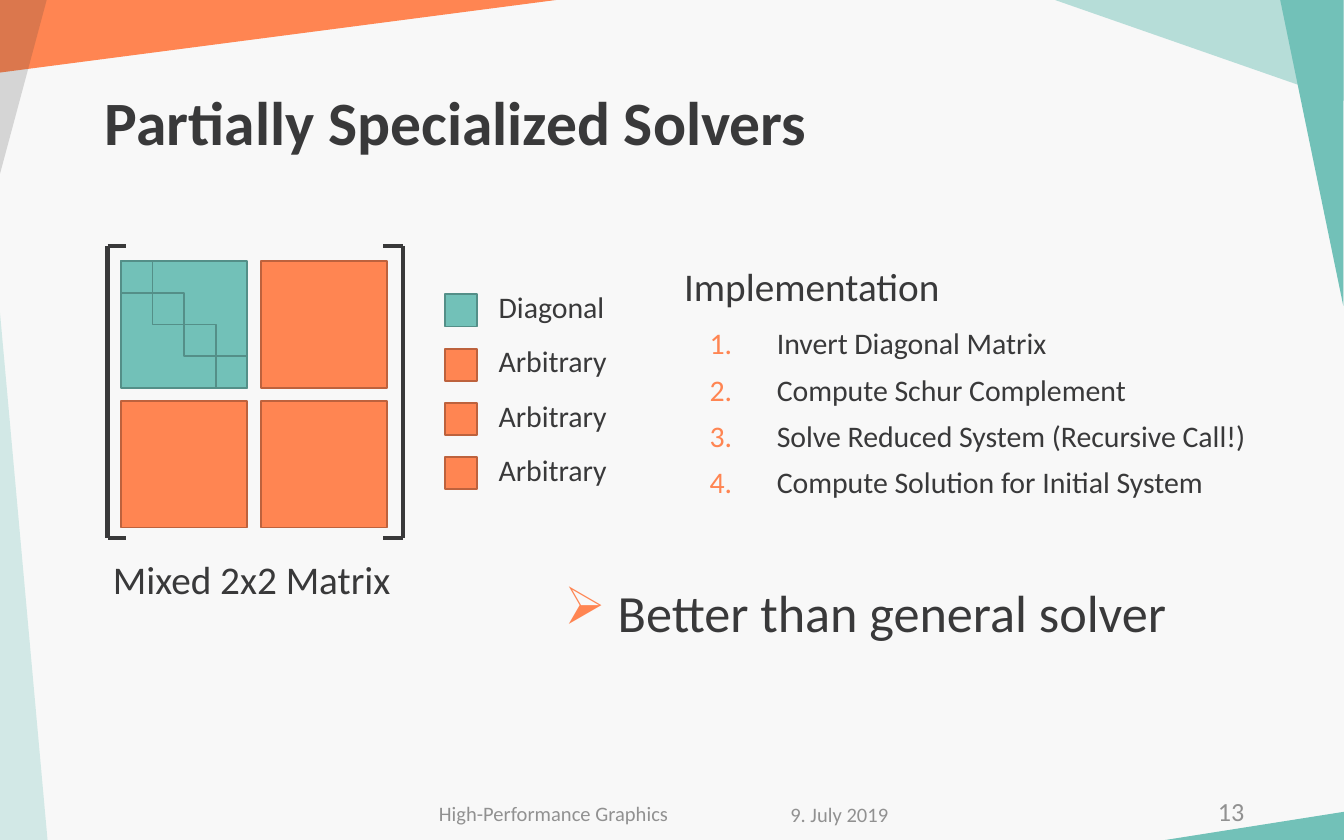
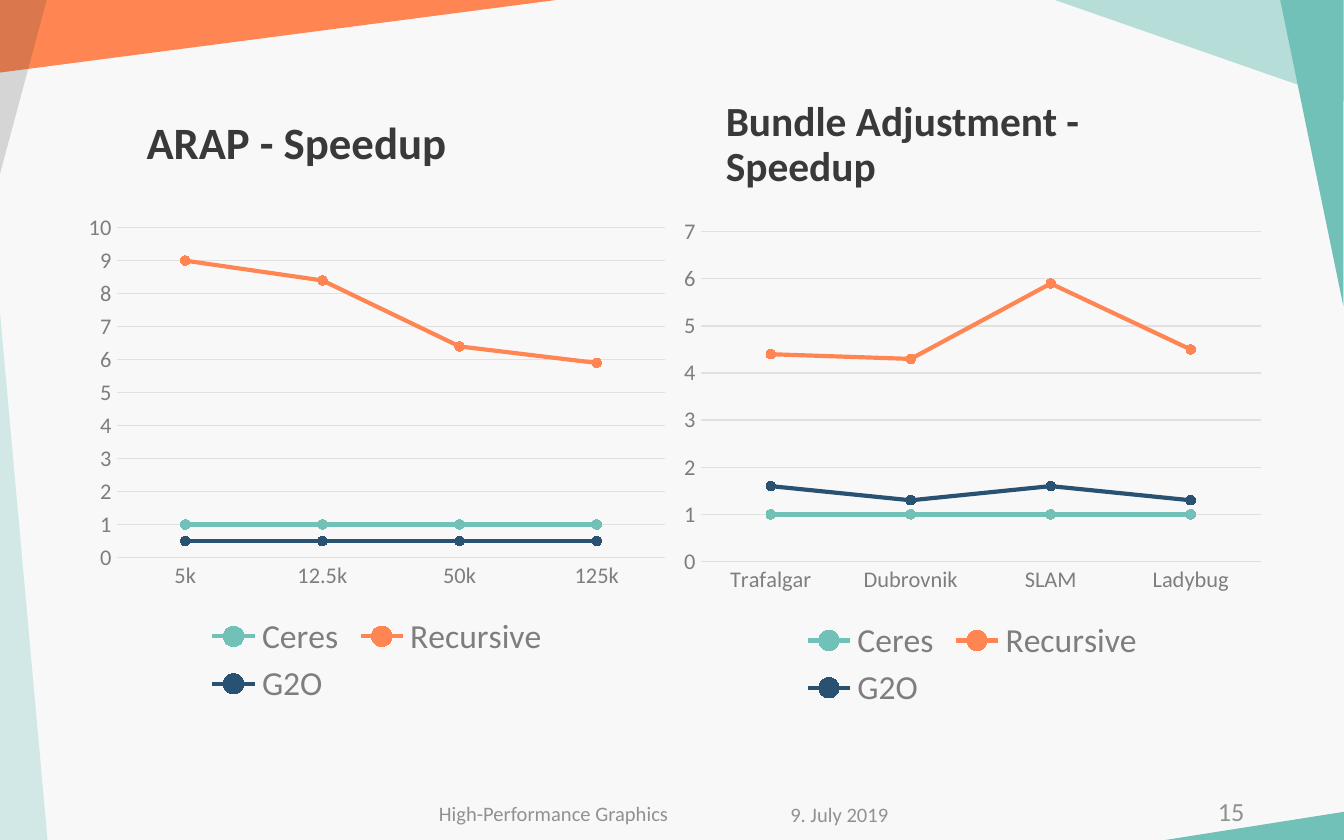
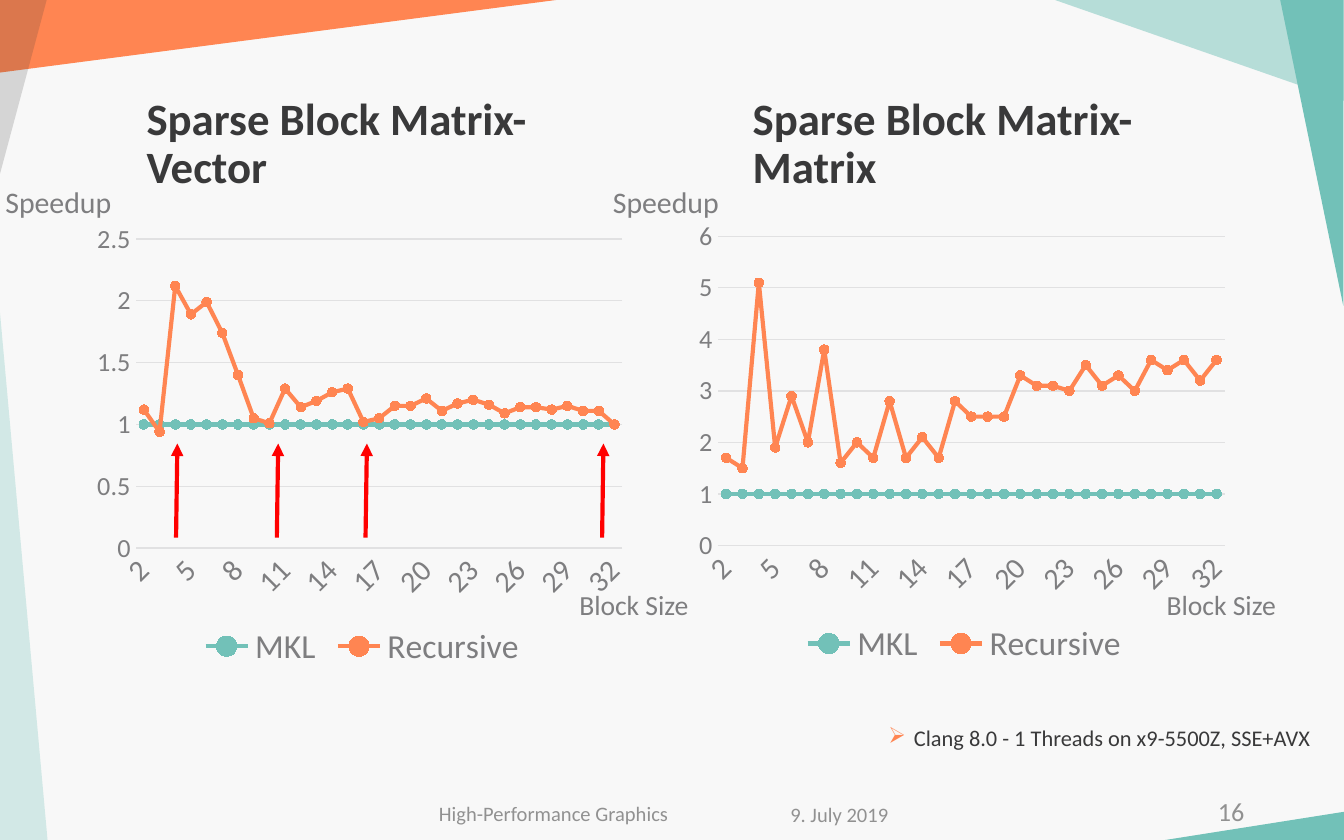
from dataclasses import dataclass
from typing import NamedTuple, Optional

from lxml.etree import SubElement
from pptx import Presentation
from pptx.chart.chart import Chart
from pptx.chart.data import CategoryChartData
from pptx.dml.color import RGBColor
from pptx.enum.chart import XL_CHART_TYPE, XL_LEGEND_POSITION, XL_MARKER_STYLE, XL_TICK_MARK
from pptx.enum.shapes import MSO_CONNECTOR, MSO_SHAPE
from pptx.enum.text import MSO_ANCHOR, MSO_AUTO_SIZE, PP_ALIGN
from pptx.oxml.ns import qn
from pptx.shapes.autoshape import Shape
from pptx.slide import Slide
from pptx.text.text import TextFrame
from pptx.util import Inches, Pt


@dataclass(frozen=True)
class Theme:
    font: str = "Calibri"
    paper: str = "F8F8F8"
    ink: str = "39393A"
    teal: str = "72C1B8"
    teal_edge: str = "548F88"
    orange: str = "FF8552"
    orange_edge: str = "BD623D"
    navy: str = "295172"
    red: str = "FF0000"
    chart_text: str = "7E7E80"
    grid: str = "E1E1E2"
    footer: str = "919191"
    title_size: float = 33
    half_title_size: float = 24
    claim_size: float = 28
    heading_size: float = 21
    legend_size: float = 18
    body_size: float = 16
    axis_name_size: float = 14.8
    number_size: float = 14
    note_size: float = 12
    footer_size: float = 11
    line_width: float = 2.25


THEME = Theme()


class Box(NamedTuple):
    left: float
    top: float
    width: float
    height: float

    def emu(self) -> tuple:
        return tuple(Inches(length) for length in self)


class Band(NamedTuple):
    box: Box
    rotation: int
    apex: float
    color: str
    opacity: int = 100


class Style(NamedTuple):
    size: float
    color: str = THEME.ink
    bold: bool = False
    align: PP_ALIGN = PP_ALIGN.LEFT
    anchor: MSO_ANCHOR = MSO_ANCHOR.TOP
    line_spacing: float = 0.9
    space_before: float = 7.5
    margin_y: float = 0.05


class Bullet(NamedTuple):
    tag: str
    attribute: str
    value: str
    indent: float


class Series(NamedTuple):
    name: str
    values: list
    color: str


@dataclass(frozen=True)
class LineChart:
    box: Box
    categories: list
    series: list
    top_value: float
    step: float
    category_size: float
    value_size: float
    label_every: int = 1


BANDS = [
    Band(Box(-1.82, 4.09, 3.99, 0.36), 90, 1, THEME.teal, 28),
    Band(Box(9.23, 5.48, 0.21, 1.33), 270, 0, THEME.teal),
    Band(Box(8.62, 0.9, 2.28, 0.47), 270, 1, THEME.teal),
    Band(Box(8.55, -0.7, 0.75, 2.15), 270, 1, THEME.teal, 49),
    Band(Box(1.8, -1.8, 0.54, 4.14), 90, 0, THEME.orange),
    Band(Box(-0.01, -0.01, 0.36, 1.34), 180, 1, THEME.ink, 18),
]

TITLE = Style(THEME.title_size, bold=True, anchor=MSO_ANCHOR.MIDDLE, space_before=0)
HALF_TITLE = TITLE._replace(size=THEME.half_title_size)
HEADING = Style(THEME.heading_size)
BODY = Style(THEME.body_size)
SPEEDUP_NAME = Style(THEME.body_size, THEME.chart_text)
BLOCK_SIZE_NAME = Style(THEME.axis_name_size, THEME.chart_text)
FOOTER = Style(THEME.footer_size, THEME.footer, align=PP_ALIGN.CENTER, anchor=MSO_ANCHOR.MIDDLE,
               line_spacing=1, space_before=0, margin_y=0)
PAGE_NUMBER = FOOTER._replace(size=THEME.number_size, align=PP_ALIGN.RIGHT)

NUMBERED = Bullet("a:buAutoNum", "type", "arabicPeriod", 0.5)
ARROW = Bullet("a:buChar", "char", "➢", 0.19)

LEFT_TITLE = Box(1, 0.72, 3.79, 0.72)


def rgb(color: str) -> RGBColor:
    return RGBColor.from_string(color)


def write(frame: TextFrame, lines: list, style: Style, bullet: Optional[Bullet] = None) -> None:
    frame.word_wrap = True
    frame.auto_size = MSO_AUTO_SIZE.NONE
    frame.vertical_anchor = style.anchor
    frame.margin_left = frame.margin_right = Inches(0.09)
    frame.margin_top = frame.margin_bottom = Inches(style.margin_y)
    for index, line in enumerate(lines):
        paragraph = frame.add_paragraph() if index else frame.paragraphs[0]
        paragraph.alignment = style.align
        paragraph.line_spacing = style.line_spacing
        paragraph.space_before = Pt(style.space_before)
        run = paragraph.add_run()
        run.text = line
        run.font.name = THEME.font
        run.font.size = Pt(style.size)
        run.font.bold = style.bold
        run.font.color.rgb = rgb(style.color)
        if bullet:
            properties = paragraph._p.get_or_add_pPr()
            properties.set("marL", str(Inches(bullet.indent)))
            properties.set("indent", str(-Inches(bullet.indent)))
            bullet_color = SubElement(properties, qn("a:buClr"))
            SubElement(bullet_color, qn("a:srgbClr")).set("val", THEME.orange)
            SubElement(properties, qn(bullet.tag)).set(bullet.attribute, bullet.value)


def add_text(slide: Slide, box: Box, lines: list, style: Style,
             bullet: Optional[Bullet] = None) -> None:
    write(slide.shapes.add_textbox(*box.emu()).text_frame, lines, style, bullet)


def add_filled(slide: Slide, kind: MSO_SHAPE, box: Box, color: str) -> Shape:
    shape = slide.shapes.add_shape(kind, *box.emu())
    shape.shadow.inherit = False
    shape.fill.solid()
    shape.fill.fore_color.rgb = rgb(color)
    return shape


def add_band(slide: Slide, band: Band) -> None:
    triangle = add_filled(slide, MSO_SHAPE.ISOSCELES_TRIANGLE, band.box, band.color)
    triangle.adjustments[0] = band.apex
    triangle.rotation = band.rotation
    if band.opacity < 100:
        fill_color = triangle.element.spPr.find(".//" + qn("a:srgbClr"))
        SubElement(fill_color, qn("a:alpha")).set("val", str(band.opacity * 1000))
    triangle.line.fill.background()


def add_square(slide: Slide, left: float, top: float, side: float, is_diagonal: bool) -> None:
    fill, edge = ((THEME.teal, THEME.teal_edge) if is_diagonal
                  else (THEME.orange, THEME.orange_edge))
    square = add_filled(slide, MSO_SHAPE.RECTANGLE, Box(left, top, side, side), fill)
    square.line.color.rgb = rgb(edge)
    square.line.width = Pt(1)


def add_line(slide: Slide, start: tuple, end: tuple, color: str, arrow: bool = False) -> None:
    ends = [Inches(length) for length in start + end]
    connector = slide.shapes.add_connector(MSO_CONNECTOR.STRAIGHT, *ends)
    connector.line.color.rgb = rgb(color)
    connector.line.width = Pt(THEME.line_width)
    if arrow:
        SubElement(connector.line._get_or_add_ln(), qn("a:tailEnd")).set("type", "triangle")
    SubElement(connector.element.spPr, qn("a:effectLst"))


def add_page(prs: Presentation, number: int, title: str, title_box: Box, style: Style) -> Slide:
    """Add a slide with the shared bands, title and footer."""
    slide = prs.slides.add_slide(prs.slide_layouts[5])
    for band in BANDS:
        add_band(slide, band)
    heading = slide.shapes.title
    heading.left, heading.top, heading.width, heading.height = title_box.emu()
    write(heading.text_frame, [title], style)
    add_text(slide, Box(7.1, 5.95, 2.25, 0.17), [str(number)], PAGE_NUMBER)
    add_text(slide, Box(2.43, 5.97, 3.38, 0.17), ["High-Performance Graphics"], FOOTER)
    add_text(slide, Box(5.12, 5.98, 2.25, 0.16), ["9. July 2019"], FOOTER)
    return slide


def set_chart_font(font, size: float) -> None:
    font.name = THEME.font
    font.size = Pt(size)
    font.color.rgb = rgb(THEME.chart_text)


def format_axes(chart: Chart, plan: LineChart) -> None:
    categories, values = chart.category_axis, chart.value_axis
    for axis, size in ((categories, plan.category_size), (values, plan.value_size)):
        axis.major_tick_mark = axis.minor_tick_mark = XL_TICK_MARK.NONE
        set_chart_font(axis.tick_labels.font, size)
    values.minimum_scale = 0
    values.maximum_scale = plan.top_value
    values.major_unit = plan.step
    values.tick_labels.number_format = "General"
    values.tick_labels.number_format_is_linked = False
    values.format.line.fill.background()
    values.has_major_gridlines = True
    for line in (categories.format.line, values.major_gridlines.format.line):
        line.color.rgb = rgb(THEME.grid)
        line.width = Pt(0.75)
    if plan.label_every > 1:
        element = categories._element
        element.find(qn("c:txPr")).find(qn("a:bodyPr")).set("rot", str(-45 * 60000))
        skip = SubElement(element, qn("c:tickLblSkip"))
        skip.set("val", str(plan.label_every))
        element.find(qn("c:noMultiLvlLbl")).addprevious(skip)


def add_line_chart(slide: Slide, plan: LineChart) -> None:
    data = CategoryChartData()
    data.categories = plan.categories
    for series in plan.series:
        data.add_series(series.name, series.values)
    chart = slide.shapes.add_chart(XL_CHART_TYPE.LINE_MARKERS, *plan.box.emu(), data).chart
    chart.has_title = False
    chart.font.name = THEME.font
    chart.has_legend = True
    chart.legend.position = XL_LEGEND_POSITION.BOTTOM
    chart.legend.include_in_layout = False
    set_chart_font(chart.legend.font, THEME.legend_size)
    chart.plots[0].vary_by_categories = False
    format_axes(chart, plan)
    for drawn, series in zip(chart.plots[0].series, plan.series):
        drawn.smooth = False
        drawn.format.line.color.rgb = rgb(series.color)
        drawn.format.line.width = Pt(THEME.line_width)
        drawn.marker.style = XL_MARKER_STYLE.CIRCLE
        drawn.marker.size = 5
        drawn.marker.format.fill.solid()
        drawn.marker.format.fill.fore_color.rgb = rgb(series.color)
        drawn.marker.format.line.color.rgb = rgb(series.color)


def add_matrix(slide: Slide) -> None:
    left, top, block, pitch = 0.9, 1.945, 0.94, 1.04
    for row in range(2):
        for column in range(2):
            add_square(slide, left + column * pitch, top + row * pitch, block,
                       is_diagonal=row == column == 0)
    cell = block / 4
    for step in range(4):
        add_square(slide, left + step * cell, top + step * cell, cell, True)

    bracket_top, bracket_bottom = 1.83, 4
    for spine, tip in ((0.8, 0.94), (3, 2.85)):
        add_line(slide, (spine, bracket_top), (spine, bracket_bottom), THEME.ink)
        for level in (bracket_top, bracket_bottom):
            add_line(slide, (spine, level), (tip, level), THEME.ink)


def build_solvers(prs: Presentation) -> None:
    slide = add_page(prs, 13, "Partially Specialized Solvers", Box(0.69, 0.33, 8.62, 1.21), TITLE)
    add_matrix(slide)
    add_text(slide, Box(0.75, 4.12, 2.38, 0.48), ["Mixed 2x2 Matrix"], HEADING)
    for row, kind in enumerate(["Diagonal"] + ["Arbitrary"] * 3):
        top = 2.19 + row * 0.404
        add_square(slide, 3.31, top, 0.24, kind == "Diagonal")
        add_text(slide, Box(3.62, top - 0.06, 1.09, 0.35), [kind], BODY)
    add_text(slide, Box(5, 1.94, 3.05, 0.48), ["Implementation"], HEADING)
    steps = ["Invert Diagonal Matrix", "Compute Schur Complement",
             "Solve Reduced System (Recursive Call!)", "Compute Solution for Initial System"]
    add_text(slide, Box(5.19, 2.4, 4.27, 1.7), steps, BODY, NUMBERED)
    add_text(slide, Box(4.11, 4.32, 5.09, 0.48), [" Better than general solver"],
             Style(THEME.claim_size), ARROW)


def build_speedups(prs: Presentation) -> None:
    def plan(left: float, top: float, categories: list, recursive: list, g2o: list,
             top_value: float) -> LineChart:
        series = [Series("Ceres", [1] * len(categories), THEME.teal),
                  Series("Recursive", recursive, THEME.orange),
                  Series("G2O", g2o, THEME.navy)]
        return LineChart(Box(left, top, 4.47, 3.77), categories, series, top_value, 1, 12, 12)

    slide = add_page(prs, 15, "ARAP - Speedup", LEFT_TITLE, HALF_TITLE)
    add_line_chart(slide, plan(5, 1.55, ["Trafalgar", "Dubrovnik", "SLAM", "Ladybug"],
                               [4.4, 4.3, 5.9, 4.5], [1.6, 1.3, 1.6, 1.3], 7))
    add_line_chart(slide, plan(0.57, 1.52, ["5k", "12.5k", "50k", "125k"],
                               [9, 8.4, 6.4, 5.9], [0.5] * 4, 10))
    add_text(slide, LEFT_TITLE._replace(left=5.31), ["Bundle Adjustment - Speedup"],
             HALF_TITLE._replace(size=22.2))


def build_sparse_blocks(prs: Presentation) -> None:
    block_sizes = [str(size) for size in range(2, 33)]
    matrix_vector = [1.12, 0.94, 2.12, 1.89, 1.99, 1.74, 1.4, 1.05, 1.01, 1.29, 1.14,
                     1.19, 1.26, 1.29, 1.02, 1.05, 1.15, 1.15, 1.21, 1.11, 1.17, 1.2,
                     1.16, 1.09, 1.14, 1.14, 1.12, 1.15, 1.11, 1.11, 1]
    matrix_matrix = [1.7, 1.5, 5.1, 1.9, 2.9, 2, 3.8, 1.6, 2, 1.7, 2.8, 1.7, 2.1, 1.7, 2.8,
                     2.5, 2.5, 2.5, 3.3, 3.1, 3.1, 3, 3.5, 3.1, 3.3, 3, 3.6, 3.4, 3.6, 3.2, 3.6]

    def plan(left: float, top: float, recursive: list, top_value: float,
             step: float) -> LineChart:
        series = [Series("MKL", [1] * len(block_sizes), THEME.teal),
                  Series("Recursive", recursive, THEME.orange)]
        return LineChart(Box(left, top, 4.11, 3.42), block_sizes, series, top_value, step,
                         16, 14, label_every=3)

    slide = add_page(prs, 16, "Sparse Block Matrix-Vector", LEFT_TITLE, HALF_TITLE)
    add_line_chart(slide, plan(5.12, 1.57, matrix_matrix, 6, 1))
    add_line_chart(slide, plan(0.64, 1.59, matrix_vector, 2.5, 0.5))
    add_text(slide, LEFT_TITLE._replace(left=5.51), ["Sparse Block Matrix-Matrix"], HALF_TITLE)
    for speedup_left, block_size_left in ((-0.05, 4.22), (4.47, 8.59)):
        add_text(slide, Box(speedup_left, 1.35, 1.05, 0.48), ["Speedup"], SPEEDUP_NAME)
        add_text(slide, Box(block_size_left, 4.35, 1.05, 0.48), ["Block Size"], BLOCK_SIZE_NAME)
    add_text(slide, Box(6.52, 5.36, 3.63, 0.51), ["Clang 8.0 - 1 Threads on x9-5500Z, SSE+AVX"],
             Style(THEME.note_size), ARROW)
    for dip in (1.31, 2.06, 2.72, 4.48):
        add_line(slide, (dip, 4), (dip + 0.01, 3.3), THEME.red, arrow=True)


def main() -> None:
    prs = Presentation()
    prs.slide_width, prs.slide_height = Inches(10), Inches(6.25)
    background = prs.slide_master.background.fill
    background.solid()
    background.fore_color.rgb = rgb(THEME.paper)
    build_solvers(prs)
    build_speedups(prs)
    build_sparse_blocks(prs)
    prs.save("out.pptx")


if __name__ == "__main__":
    main()
